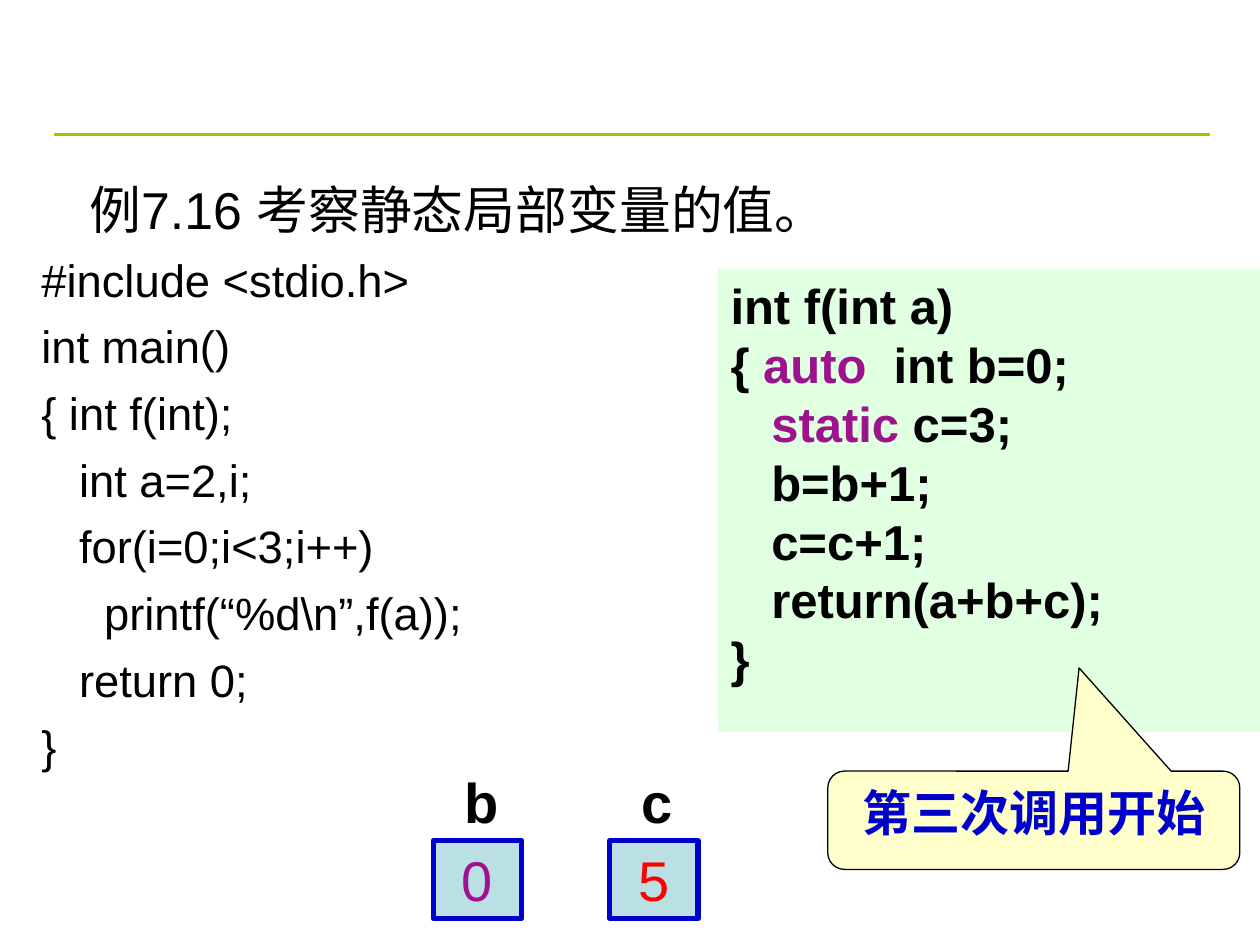
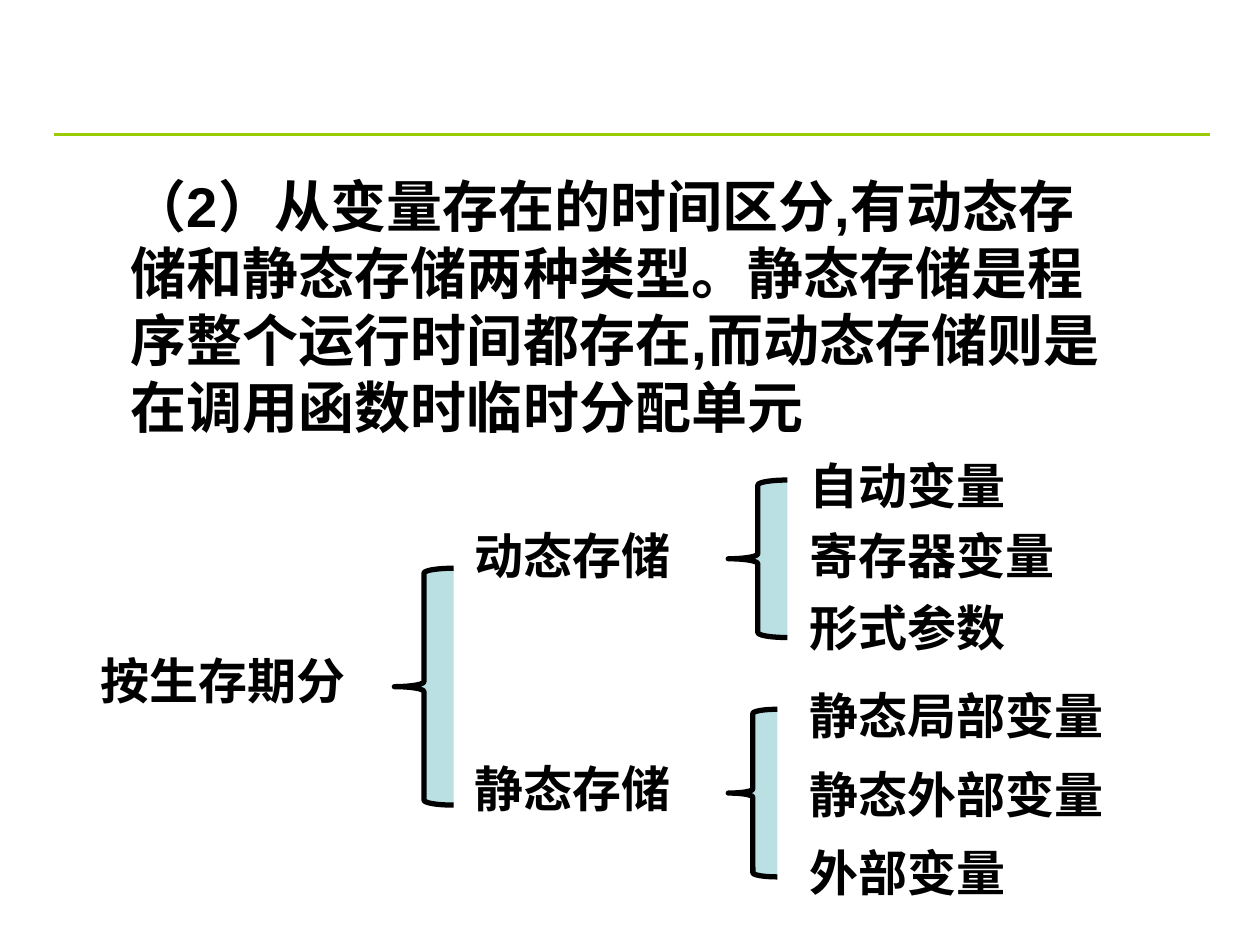
from dataclasses import dataclass

from lxml.etree import SubElement
from pptx import Presentation
from pptx.dml.color import RGBColor
from pptx.enum.shapes import MSO_CONNECTOR, MSO_SHAPE
from pptx.enum.text import MSO_ANCHOR, PP_ALIGN
from pptx.oxml.ns import qn
from pptx.util import Pt

EMU_PER_PX = 9144


def px(length):
    return length * EMU_PER_PX


@dataclass(frozen=True)
class Theme:
    font: str = "Arial"
    ink: str = "000000"
    rule: str = "99CC00"
    keyword: str = "9D138D"
    blue: str = "0000CC"
    red: str = "FF0000"
    code_fill: str = "E1FFE1"
    callout_fill: str = "FFFFCC"
    cell_fill: str = "BBE0E3"
    heading_size: float = 29.6
    listing_size: float = 25.9
    label_size: int = 28
    large_size: int = 32


class SlideBuilder:
    def __init__(self, theme):
        self.theme = theme
        self.deck = Presentation()
        self.deck.slide_width = px(1000)
        self.deck.slide_height = px(750)
        self.page = None

    def new_page(self):
        self.page = self.deck.slides.add_slide(self.deck.slide_layouts[6])
        rule = self.page.shapes.add_connector(
            MSO_CONNECTOR.STRAIGHT, px(43), px(107), px(960), px(107))
        rule.line.color.rgb = RGBColor.from_string(self.theme.rule)
        rule.line.width = Pt(1.5)
        SubElement(rule._element.spPr, qn("a:effectLst"))

    def format_span(self, span, size, color=None, bold=False):
        span.font.name = self.theme.font
        span.font.size = Pt(size)
        span.font.bold = bold
        span.font.color.rgb = RGBColor.from_string(color or self.theme.ink)

    def set_lines(self, box, lines, size, color=None, bold=False, align=PP_ALIGN.LEFT):
        frame = box.text_frame
        frame.text = "\n".join(lines)
        for para in frame.paragraphs:
            para.alignment = align
            for span in para.runs:
                self.format_span(span, size, color, bold)

    def text(self, place, lines, size, bold=True):
        box = self.page.shapes.add_textbox(*map(px, place))
        box.text_frame.word_wrap = True
        self.set_lines(box, lines, size, bold=bold)
        return box

    def shape(self, kind, place, fill, line=None, line_width=0, anchor=MSO_ANCHOR.TOP):
        box = self.page.shapes.add_shape(kind, *map(px, place))
        box.shadow.inherit = False
        box.fill.solid()
        box.fill.fore_color.rgb = RGBColor.from_string(fill)
        if line:
            box.line.color.rgb = RGBColor.from_string(line)
            box.line.width = Pt(line_width)
        else:
            box.line.fill.background()
        box.text_frame.vertical_anchor = anchor
        return box

    def listing(self, place, heading, code):
        box = self.text(place, [heading, *code], self.theme.listing_size, bold=False)
        title, *rows = box.text_frame.paragraphs
        title._p.get_or_add_pPr().set("marL", str(px(38)))
        self.format_span(title.runs[0], self.theme.heading_size)
        for para in rows:
            para.space_before = Pt(7)

    def code_panel(self, place, lines, keywords):
        box = self.shape(MSO_SHAPE.RECTANGLE, place, self.theme.code_fill)
        frame = box.text_frame
        for index, pieces in enumerate(lines):
            para = frame.add_paragraph() if index else frame.paragraphs[0]
            para.alignment = PP_ALIGN.LEFT
            for piece in pieces:
                span = para.add_run()
                span.text = piece
                color = self.theme.keyword if piece in keywords else self.theme.ink
                self.format_span(span, self.theme.label_size, color, bold=True)

    def callout(self, place, label, adjustments):
        box = self.shape(MSO_SHAPE.ROUNDED_RECTANGULAR_CALLOUT, place,
                         self.theme.callout_fill, self.theme.ink, 0.75)
        for index, value in enumerate(adjustments):
            box.adjustments[index] = value
        self.set_lines(box, [label], self.theme.label_size, self.theme.blue, True,
                       PP_ALIGN.CENTER)

    def variable_cell(self, left, name, value, color):
        self.text((left + 15, 604, 47, 64), [name], self.theme.large_size)
        box = self.shape(MSO_SHAPE.RECTANGLE, (left, 667, 70, 62),
                         self.theme.cell_fill, self.theme.blue, 3, MSO_ANCHOR.MIDDLE)
        box.text_frame.word_wrap = False
        self.set_lines(box, [value], self.theme.large_size, color, align=PP_ALIGN.CENTER)

    def brace(self, place):
        self.shape(MSO_SHAPE.LEFT_BRACE, place, self.theme.cell_fill, self.theme.ink, 3)

    def label(self, left, top, width, words):
        self.text((left, top, width, 57), [words], self.theme.label_size)


def build_static_variable_page(builder):
    theme = builder.theme
    builder.new_page()
    builder.listing((23, 136, 766, 531), "例7.16 考察静态局部变量的值。", [
        "#include <stdio.h>",
        "int main()",
        "{ int f(int);",
        "   int a=2,i;",
        "   for(i=0;i<3;i++)",
        "     printf(“%d\\n”,f(a));",
        "   return 0;",
        "}",
    ])
    builder.code_panel((570, 214, 430, 367), [
        ("int f(int a)",),
        ("{ ", "auto", "  int b=0;"),
        ("   ", "static", " c=3;"),
        ("   b=b+1;",),
        ("   c=c+1;",),
        ("   return(a+b+c);",),
        ("}",),
    ], ("auto", "static"))
    builder.callout((657, 612, 327, 78), "第三次调用开始", (0.11, -1.55, 0.17))
    builder.variable_cell(344, "b", "0", theme.keyword)
    builder.variable_cell(484, "c", "5", theme.red)


def build_lifetime_page(builder):
    builder.new_page()
    builder.text((94, 131, 805, 224), [
        "（2）从变量存在的时间区分,有动态存储和静态存储两种类型。"
        "静态存储是程序整个运行时间都存在,而动态存储则是在调用函数时临时分配单元"
    ], builder.theme.large_size)

    builder.label(70, 511, 242, "按生存期分")
    for top, storage in ((412, "动态存储"), (597, "静态存储")):
        builder.label(367, top, 195, storage)
    variables = (
        (357, "自动变量"), (412, "寄存器变量"), (469, "形式参数"),
        (539, "静态局部变量"), (602, "静态外部变量"), (664, "外部变量"),
    )
    for top, variable in variables:
        builder.label(633, top, 266, variable)
    for place in ((313, 451, 47, 188), (578, 381, 47, 125), (578, 563, 39, 133)):
        builder.brace(place)


def main():
    builder = SlideBuilder(Theme())
    build_static_variable_page(builder)
    build_lifetime_page(builder)
    builder.deck.save("out.pptx")


if __name__ == "__main__":
    main()
